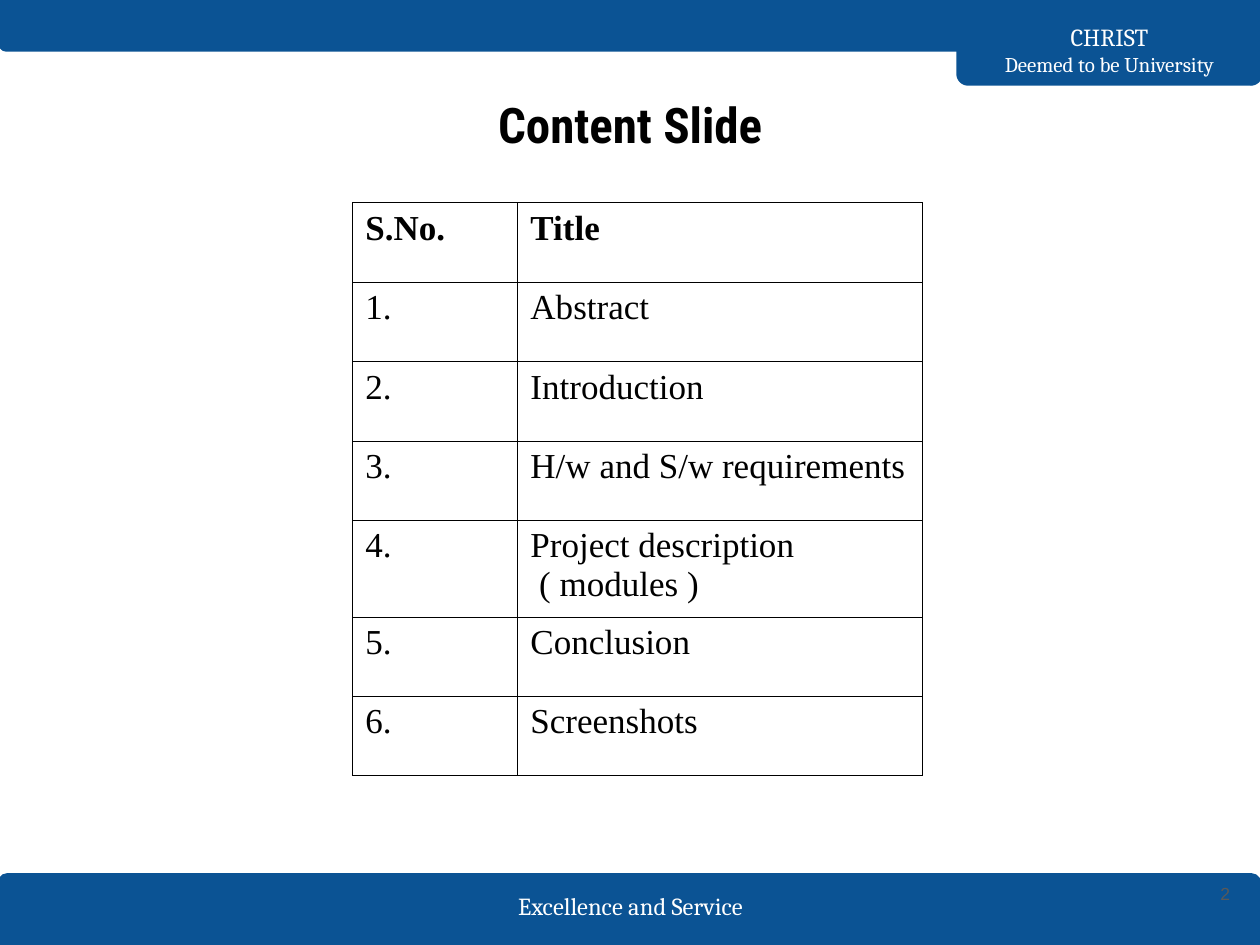
from lxml.etree import SubElement as Sub
from pptx import Presentation
from pptx.dml.color import RGBColor
from pptx.enum.shapes import MSO_SHAPE as Shape
from pptx.enum.text import MSO_ANCHOR as Anchor, PP_ALIGN as Align
from pptx.oxml.ns import qn
from pptx.util import Inches, Pt

BLUE = "0B5394"
WHITE = "FFFFFF"
BLACK = "000000"
ROWS = [
    ("S.No.", "Title"),
    ("1.", "Abstract"),
    ("2.", "Introduction"),
    ("3.", "H/w and S/w requirements"),
    ("4.", "Project description\n ( modules )"),
    ("5.", "Conclusion"),
    ("6.", "Screenshots"),
]


def paint(fmt, color):
    fmt.solid()
    fmt.fore_color.rgb = RGBColor.from_string(color)


def write(frame, text, font="Cambria", size=14, color=WHITE, bold=False, align=Align.CENTER):
    for line in text.split("\n"):
        last = frame.paragraphs[-1]
        para = frame.add_paragraph() if last.runs else last
        para.alignment = align
        run = para.add_run()
        run.text = line
        run.font.name = font
        run.font.size = Pt(size)
        run.font.bold = bold
        run.font.color.rgb = RGBColor.from_string(color)


def frame_in(slide, box, anchor=Anchor.MIDDLE):
    frame = slide.shapes.add_textbox(*map(Inches, box)).text_frame
    frame.word_wrap = True
    frame.vertical_anchor = anchor
    frame.margin_left = frame.margin_right = Inches(0.1)
    frame.margin_top = frame.margin_bottom = Inches(0.1)
    return frame


def band(slide, box, turn=0):
    shape = slide.shapes.add_shape(Shape.ROUND_2_SAME_RECTANGLE, *map(Inches, box))
    shape.adjustments[0] = 0.125
    shape.adjustments[1] = 0
    shape.rotation = turn
    shape.shadow.inherit = False
    paint(shape.fill, BLUE)
    paint(shape.line.fill, BLUE)
    shape.line.width = Pt(1.5)


def header(slide, box):
    left, top, width, height = box
    tab = 2.41
    start = left + width - tab
    band(slide, (start, top, tab, height), 180)
    band(slide, (left, top, width, 0.4), 180)
    frame = frame_in(slide, (start, top + 0.27, tab, 0.25))
    write(frame, "CHRIST")
    write(frame, "Deemed to be University", size=12)


def footer(slide, box):
    left, top, width, height = box
    band(slide, box)
    write(frame_in(slide, (left + 3.67, top + 0.09, 2.69, 0.32)), "Excellence and Service")
    number = frame_in(slide, (left + width - 0.68, top, 0.54, 0.3))
    write(number, "2", font="Arial", size=10, color="595959", align=Align.RIGHT)


def title(slide, box):
    frame = frame_in(slide, box, Anchor.TOP)
    write(frame, "Content Slide", font="Roboto Condensed", size=28, color=BLACK, bold=True)


def edge(cell):
    props = cell._tc.get_or_add_tcPr()
    for index, side in enumerate(("lnL", "lnR", "lnT", "lnB")):
        line = props.makeelement(qn(f"a:{side}"), {"w": str(Pt(0.5))})
        props.insert(index, line)
        Sub(Sub(line, qn("a:solidFill")), qn("a:srgbClr"), val=BLACK)


def contents(slide, box):
    left, top, width, height = box
    table = slide.shapes.add_table(len(ROWS), 2, *map(Inches, box)).table
    table.first_row = table.horz_banding = False
    first = 1.31
    for col, size in zip(table.columns, (first, width - first)):
        col.width = Inches(size)
    for r, row in enumerate(ROWS):
        table.rows[r].height = Inches(height / len(ROWS))
        for c, text in enumerate(row):
            cell = table.cell(r, c)
            cell.fill.background()
            edge(cell)
            write(cell.text_frame, text, font="Times New Roman", size=20,
                  color=BLACK, bold=r == 0, align=Align.LEFT)


def main():
    deck = Presentation()
    deck.slide_width = Inches(10)
    deck.slide_height = Inches(7.5)
    slide = deck.slides.add_slide(deck.slide_layouts[6])
    footer(slide, (-0.01, 6.94, 10.01, 0.56))
    header(slide, (0, 0, 10.01, 0.67))
    title(slide, (0.34, 0.65, 9.32, 0.83))
    contents(slide, (2.8, 1.61, 4.52, 4.41))
    deck.save("out.pptx")


if __name__ == "__main__":
    main()
